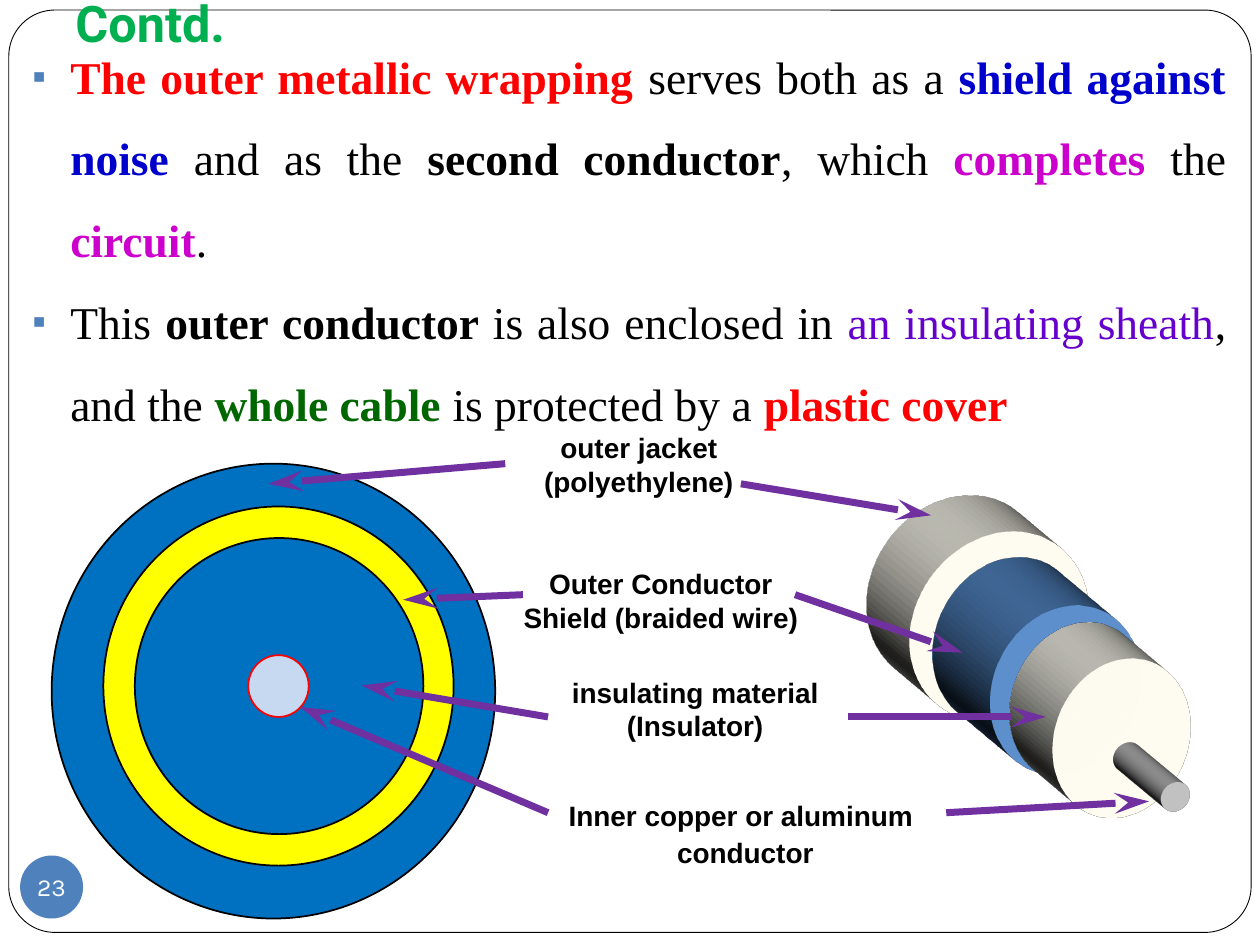
"""Build the slide on the layers of a coaxial cable."""
from lxml import etree
from pptx import Presentation
from pptx.dml.color import RGBColor
from pptx.enum.shapes import MSO_CONNECTOR, MSO_SHAPE
from pptx.enum.text import MSO_ANCHOR, MSO_AUTO_SIZE, PP_ALIGN
from pptx.oxml.ns import qn
from pptx.util import Inches, Pt

OVAL, ROUNDED = MSO_SHAPE.OVAL, MSO_SHAPE.ROUNDED_RECTANGLE
STRAIGHT = MSO_CONNECTOR.STRAIGHT
LEFT, CENTER, JUSTIFY = PP_ALIGN.LEFT, PP_ALIGN.CENTER, PP_ALIGN.JUSTIFY
TOP, MIDDLE, BOTTOM = MSO_ANCHOR.TOP, MSO_ANCHOR.MIDDLE, MSO_ANCHOR.BOTTOM
FIT_SHAPE = MSO_AUTO_SIZE.SHAPE_TO_FIT_TEXT
DEGREE = 60000

COLORS = {
    "white": "FFFFFF", "black": "000000", "title": "00B050", "accent": "4F81BD",
    "red": "FF0000", "blue": "0000CC", "magenta": "CC00CC", "violet": "6600CC",
    "green": "006600", "jacket": "0070C0", "shield": "FFFF00", "core": "C6D9F1",
    "arrow": "7030A0", "ivory": "EEECE1", "wire": "B2B2B2",
}


class CableSlide:
    """Holds the slide and its style, with a method for each kind of element."""

    def __init__(self, slide):
        self.slide = slide
        self.shapes = slide.shapes

    def color(self, name):
        """Return the named colour."""
        return RGBColor.from_string(COLORS[name])

    def style_font(self, font, face, size, color, bold=False):
        """Set the look of a font."""
        font.name, font.size, font.bold = face, Pt(size), bold
        font.color.rgb = self.color(color)

    def shape(self, kind, box, fill, line=None, width=1):
        """Add a filled preset shape."""
        shape = self.shapes.add_shape(kind, *map(Inches, box))
        shape.shadow.inherit = False
        shape.fill.solid()
        shape.fill.fore_color.rgb = self.color(fill)
        if line:
            shape.line.color.rgb = self.color(line)
            shape.line.width = Pt(width)
        else:
            shape.line.fill.background()
        return shape

    def text_box(self, box, anchor=TOP, wrap=True):
        """Add an empty text box and return its frame."""
        frame = self.shapes.add_textbox(*map(Inches, box)).text_frame
        frame.word_wrap, frame.vertical_anchor = wrap, anchor
        return frame

    def title(self, box, text):
        """Add the slide title."""
        frame = self.text_box(box, BOTTOM)
        frame.margin_bottom = Inches(0.1)
        frame.text = text
        self.style_font(frame.paragraphs[0].font, "Roboto", 28.8, "title", True)

    def bullets(self, box, items):
        """Add justified bullets made of (text, colour, bold) runs."""
        frame = self.text_box(box)
        for index, runs in enumerate(items):
            paragraph = frame.add_paragraph() if index else frame.paragraphs[0]
            paragraph.alignment, paragraph.line_spacing = JUSTIFY, 1.5
            props = paragraph._p.get_or_add_pPr()
            props.set("marL", str(Inches(0.3)))
            props.set("indent", str(Inches(-0.3)))
            tint = etree.SubElement(props, qn("a:buClr"))
            etree.SubElement(tint, qn("a:srgbClr"), val=COLORS["accent"])
            etree.SubElement(props, qn("a:buSzPct"), val="85000")
            etree.SubElement(props, qn("a:buFont"), typeface="Arial")
            etree.SubElement(props, qn("a:buChar"), char="▪")
            for text, color, bold in runs:
                run = paragraph.add_run()
                run.text = text
                self.style_font(run.font, "Times New Roman", 26, color, bold)

    def label(self, box, lines, first_align=CENTER, wrap=False):
        """Add a two-line part label and return its frame."""
        frame = self.text_box(box, wrap=wrap)
        frame.auto_size = FIT_SHAPE
        frame.text = "\n".join(lines)
        for index, paragraph in enumerate(frame.paragraphs):
            paragraph.alignment = CENTER if index else first_align
            self.style_font(paragraph.font, "Arial", 16, "black", True)
        return frame

    def page_number(self, box, number):
        """Add the round page number."""
        frame = self.shape(OVAL, box, "accent").text_frame
        frame.margin_left = frame.margin_right = 0
        frame.margin_top = frame.margin_bottom = 0
        frame.word_wrap, frame.vertical_anchor = False, MIDDLE
        frame.text = number
        frame.paragraphs[0].alignment = CENTER
        self.style_font(frame.paragraphs[0].font, "Karla", 14, "white")

    def arrow(self, tip, tail):
        """Add a line with a long stealth head at its tip."""
        line = self.shapes.add_connector(STRAIGHT, *map(Inches, tip + tail))
        line.line.color.rgb = self.color("arrow")
        line.line.width = Pt(4)
        etree.SubElement(line.line._get_or_add_ln(), qn("a:headEnd"),
                         type="stealth", w="med", len="lg")
        etree.SubElement(line._element.spPr, qn("a:effectLst"))

    def cylinder(self, face, depth, fill):
        """Add an ellipse extruded towards the upper left."""
        props = self.shape(OVAL, face, fill)._element.spPr
        scene = etree.SubElement(props, qn("a:scene3d"))
        camera = etree.SubElement(scene, qn("a:camera"), prst="orthographicFront")
        etree.SubElement(camera, qn("a:rot"), lat=str(22 * DEGREE),
                         lon=str(336 * DEGREE), rev="0")
        etree.SubElement(scene, qn("a:lightRig"), rig="threePt", dir="t")
        solid = etree.SubElement(props, qn("a:sp3d"), extrusionH=str(Inches(depth)))
        tint = etree.SubElement(solid, qn("a:extrusionClr"))
        etree.SubElement(tint, qn("a:srgbClr"), val=COLORS[fill])


def main():
    """Build and save the slide."""
    deck = Presentation()
    deck.slide_width, deck.slide_height = Inches(10), Inches(7.5)
    cable = CableSlide(deck.slides.add_slide(deck.slide_layouts[6]))

    border = cable.shape(ROUNDED, (0.07, 0.08, 9.86, 7.32), "white", "black", 0.5)
    border.adjustments[0] = 0.05
    cable.title((0.5, 0.12, 9, 0.4), "Contd.")
    cable.bullets((0.16, 0.12, 9.67, 4.38), [
        [("The outer metallic wrapping ", "red", True),
         ("serves both as a ", "black", False),
         ("shield against noise ", "blue", True), ("and as the ", "black", False),
         ("second conductor", "black", True), (", which ", "black", False),
         ("completes", "magenta", True), (" the ", "black", False),
         ("circuit", "magenta", True), (".", "black", False)],
        [("This ", "black", False), ("outer conductor ", "black", True),
         ("is also enclosed in ", "black", False),
         ("an insulating sheath", "violet", False), (", and the ", "black", False),
         ("whole cable ", "green", True), ("is protected by a ", "black", False),
         ("plastic cover", "red", True)],
    ])
    cable.page_number((0.16, 6.79, 0.5, 0.5), "23")

    cable.label((4.18, 3.37, 1.78, 0.85), ("outer jacket", "(polyethylene)"))
    copper = cable.label((4.27, 6.29, 3.22, 0.88), ("Inner copper or aluminum", " "),
                         wrap=True)
    cable.label((4.44, 5.31, 2.26, 0.85), ("insulating material", "(Insulator)"), LEFT)
    cable.label((4, 4.45, 2.49, 0.85), ("Outer Conductor", "Shield (braided wire)"))
    conductor = copper.paragraphs[1]
    conductor.runs[0].font.size = Pt(18)
    conductor.add_run().text = "conductor"

    for ring, fill, line in (
        ((0.41, 3.68, 3.52, 3.61), "jacket", "black"),
        ((0.82, 4.02, 2.78, 2.85), "shield", "black"),
        ((1.07, 4.27, 2.29, 2.35), "jacket", "black"),
        ((1.97, 5.2, 0.48, 0.49), "core", "red"),
    ):
        cable.shape(OVAL, ring, fill, line)

    for face, depth, fill in (
        ((7.15, 4.17, 1.56, 1.6), 0.84, "ivory"),
        ((7.8, 4.76, 1.31, 1.43), 1.12, "accent"),
        ((8.3, 5.18, 1.2, 1.35), 0.84, "ivory"),
        ((9.2, 6.2, 0.25, 0.25), 0.92, "wire"),
    ):
        cable.cylinder(face, depth, fill)

    for tip, tail in (
        ((2.13, 3.84), (4.01, 3.68)), ((7.39, 4.09), (5.88, 3.84)),
        ((3.2, 4.76), (4.15, 4.72)), ((7.64, 5.18), (6.31, 4.72)),
        ((2.87, 5.44), (4.35, 5.69)), ((8.3, 5.69), (6.73, 5.69)),
        ((2.38, 5.61), (4.35, 6.45)), ((9.12, 6.36), (7.51, 6.45)),
    ):
        cable.arrow(tip, tail)
    deck.save("out.pptx")


if __name__ == "__main__":
    main()
